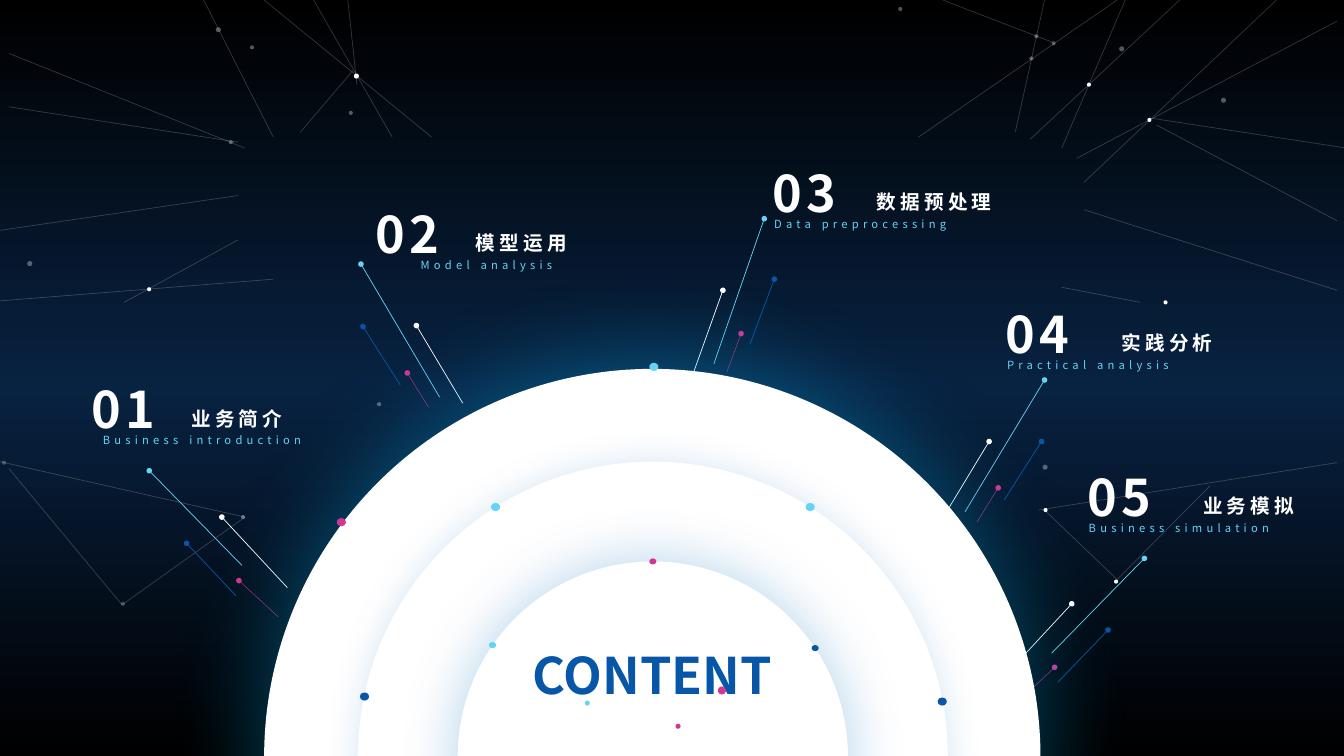
from lxml import etree
from pptx import Presentation
from pptx.dml.color import RGBColor
from pptx.enum import shapes, text
from pptx.oxml import ns
from pptx.util import Inches, Pt

FONT = "Noto Sans CJK SC"
COLORS = {"black": "000000", "navy": "082241", "white": "FFFFFF", "sky": "65D3F6",
          "blue": "0756A7", "pink": "D13694", "glow": "5DFFF9", "halo": "00B0F0", "shade": "0070C0"}

# Number, title, subtitle, label position, side, then the four strokes (dot end, free end)
TOPICS = [
    ("01", "业务简介", "Business introduction", (0.73, 3.7), "left",
     [(2.2, 5.13, 2.85, 5.83), (1.48, 4.67, 2.4, 5.61), (1.85, 5.39, 2.34, 5.91), (2.37, 5.76, 2.76, 6.12)]),
    ("02", "模型运用", "Model analysis", (3.55, 1.96), "left",
     [(4.13, 3.23, 4.59, 4), (3.58, 2.62, 4.36, 3.94), (3.6, 3.24, 3.97, 3.82), (4.04, 3.7, 4.25, 4.04)]),
    ("03", "数据预处理", "Data preprocessing", (7.49, 1.55), "right",
     [(7.17, 2.88, 6.87, 3.72), (7.58, 2.17, 7.08, 3.61), (7.68, 2.77, 7.44, 3.41), (7.35, 3.31, 7.21, 3.69)]),
    ("04", "实践分析", "Practical analysis", (9.8, 2.95), "right",
     [(9.81, 4.38, 9.35, 5.14), (10.36, 3.77, 9.57, 5.08), (10.33, 4.38, 9.96, 4.96), (9.9, 4.84, 9.69, 5.18)]),
    ("05", "业务模拟", "Business simulation", (10.61, 4.57), "right",
     [(10.63, 5.99, 9.98, 6.69), (11.35, 5.54, 10.43, 6.48), (10.99, 6.25, 10.49, 6.77), (10.46, 6.62, 10.07, 6.99)]),
]
STROKE_STYLES = [("white", 0.5), ("sky", 0.5), ("blue", 0.5), ("pink", 0.25)]
# Title width, subtitle indent, subtitle width, subtitle alignment
LABEL_STYLES = {"left": (1.7, 0.05, 2.45, text.PP_ALIGN.CENTER),
                "right": (2.01, 0.09, 2.66, text.PP_ALIGN.JUSTIFY)}

WEB_LINES = [
    (2.02, 0, 2.71, 1.36), (2.62, 0, 4.28, 1.36), (3.11, 0, 3.89, 1.36), (3.45, 0, 3.54, 0.84),
    (3.5, 0.7, 2.98, 1.31), (0.09, 0.53, 2.43, 1.47), (0.09, 1.06, 2.36, 1.41), (-0.1, 2.3, 2.36, 1.94),
    (-0.19, 3, 2.71, 2.77), (1.23, 3, 2.36, 2.38), (0, 4.58, 2.43, 5.13), (0.09, 4.65, 1.21, 6),
    (1.21, 6, 2.43, 5.13), (9.35, 0, 10.44, 0.42), (10.36, 0, 10.07, 1.31), (11.08, 0, 9.11, 1.36),
    (11.7, 0, 10.22, 1.38), (11.16, 0, 10.53, 1.47), (13.26, 0.21, 10.68, 1.57), (12.66, 0, 10.75, 1.81),
    (11.47, 1.24, 13.26, 2.19), (11.4, 1.17, 13.36, 1.47), (10.75, 2.08, 13.26, 2.88), (10.53, 2.85, 11.31, 3),
    (10.3, 5.06, 13.26, 4.59), (10.36, 5.06, 11.08, 5.75), (11.08, 5.75, 12, 4.82),
]
# Left, top, diameter, by opacity in percent
WEB_DOTS = {
    100: [(3.51, 0.73, 0.05), (1.46, 2.85, 0.04), (10.78, 0.82, 0.04), (11.38, 1.17, 0.04),
          (11.54, 2.98, 0.04), (11.05, 5.75, 0.04), (10.35, 5.04, 0.04)],
    33: [(3.46, 1.1, 0.04), (2.48, 0.45, 0.04), (2.14, 0.27, 0.05), (0.27, 2.59, 0.05), (2.27, 1.39, 0.04),
         (3.74, 3.99, 0.04), (11.1, 0.46, 0.05), (8.91, 0.07, 0.04), (10.26, 0.34, 0.04), (10.43, 0.41, 0.04),
         (10.21, 0.56, 0.04), (12.11, 0.97, 0.05), (10.34, 4.61, 0.05), (12.48, 4.93, 0.05)],
    36: [(2.39, 5.11, 0.04)],
    24: [(0.02, 4.57, 0.04), (1.2, 5.97, 0.04)],
}
WEB_LINE_OPACITY = 20

# Left, top, diameter, shadow (colour, opacity, blur, distance, direction)
DISCS = [(2.62, 3.66, 7.7, ("halo", 40, 71, 3, 270)),
         (3.55, 4.58, 5.85, ("shade", 17, 25, 0, 0)),
         (4.54, 5.57, 3.87, ("shade", 31, 42, 0, 0))]
# Left, top, width, height, colour
DISC_DOTS = [
    (4.85, 6.37, 0.07, 0.06, "sky"), (6.44, 5.54, 0.07, 0.06, "pink"), (8.05, 6.4, 0.07, 0.06, "blue"),
    (6.7, 7.18, 0.05, 0.05, "pink"), (5.8, 6.95, 0.05, 0.05, "sky"), (4.87, 4.99, 0.09, 0.08, "sky"),
    (3.57, 6.87, 0.09, 0.08, "blue"), (7.99, 4.99, 0.09, 0.08, "sky"), (9.3, 6.92, 0.09, 0.08, "blue"),
    (3.34, 5.14, 0.09, 0.08, "pink"), (6.44, 3.6, 0.09, 0.08, "sky"), (7.12, 6.81, 0.08, 0.08, "pink"),
]


def rgb(name):
    return RGBColor.from_string(COLORS[name])


def add_child(parent, tag, **attributes):
    child = etree.SubElement(parent, ns.qn(tag))
    for key, value in attributes.items():
        child.set(key, str(value))
    return child


def set_opacity(fill, percent):
    """Make a solid fill or line translucent."""
    if percent < 100:
        add_child(fill.find(".//" + ns.qn("a:srgbClr")), "a:alpha", val=percent * 1000)


def add_line(parent, ends, color, width, opacity=100, dot=False):
    line = parent.add_connector(shapes.MSO_CONNECTOR.STRAIGHT, *map(Inches, ends))
    line.line.color.rgb = rgb(color)
    line.line.width = Pt(width)
    properties = line._element.spPr
    outline = properties.find(ns.qn("a:ln"))
    set_opacity(outline, opacity)
    if dot:
        add_child(outline, "a:headEnd", type="oval", w="sm", len="sm")
    add_child(properties, "a:effectLst")


def add_ellipse(parent, box, color, opacity=100, shadow=None):
    ellipse = parent.add_shape(shapes.MSO_SHAPE.OVAL, *map(Inches, box))
    ellipse.fill.solid()
    ellipse.fill.fore_color.rgb = rgb(color)
    ellipse.line.fill.background()
    ellipse.shadow.inherit = False
    properties = ellipse._element.spPr
    set_opacity(properties.find(ns.qn("a:solidFill")), opacity)
    if shadow:
        tint, strength, blur, distance, direction = shadow
        outer = add_child(properties.find(ns.qn("a:effectLst")), "a:outerShdw", blurRad=Pt(blur),
                          dist=Pt(distance), dir=direction * 60000, algn="ctr", rotWithShape=0)
        tone = add_child(outer, "a:srgbClr", val=COLORS[tint])
        add_child(tone, "a:alpha", val=strength * 1000)


def add_text(parent, box, words, size, color, bold=True, spacing=3, align=text.PP_ALIGN.CENTER):
    frame = parent.add_textbox(*map(Inches, box)).text_frame
    frame.word_wrap = True
    frame.vertical_anchor = text.MSO_ANCHOR.MIDDLE
    paragraph = frame.paragraphs[0]
    paragraph.alignment = align
    run = paragraph.add_run()
    run.text = words
    run.font.size = Pt(size)
    run.font.bold = bold
    run.font.name = FONT
    run.font.color.rgb = rgb(color)
    properties = run._r.get_or_add_rPr()
    properties.set("spc", str(spacing * 100))
    add_child(properties, "a:ea", typeface=FONT)


def set_background(slide):
    fill = slide.background.fill
    fill.gradient()
    fill.gradient_angle = 270
    stops = fill._fill._gradFill.find(ns.qn("a:gsLst"))
    for stop in list(stops):
        stops.remove(stop)
    for position, name in [(0, "black"), (51, "navy"), (100, "black")]:
        stop = add_child(stops, "a:gs", pos=position * 1000)
        add_child(stop, "a:srgbClr", val=COLORS[name])


def add_web(slide):
    web = slide.shapes.add_group_shape().shapes
    for ends in WEB_LINES:
        add_line(web, ends, "white", 0.5, WEB_LINE_OPACITY)
    for opacity, dots in WEB_DOTS.items():
        for left, top, size in dots:
            add_ellipse(web, (left, top, size, size), "white", opacity, ("glow", 40, 23, 0, 0))


def add_topic(slide, number, title, subtitle, corner, side, strokes):
    rays = slide.shapes.add_group_shape().shapes
    for ends, (color, width) in zip(strokes, STROKE_STYLES):
        add_line(rays, ends, color, width, dot=True)
    left, top = corner
    title_width, indent, subtitle_width, align = LABEL_STYLES[side]
    label = slide.shapes.add_group_shape().shapes
    add_text(label, (left, top, 0.98, 0.71), number, 36, "white")
    add_text(label, (left + indent, top + 0.55, subtitle_width, 0.24), subtitle, 8, "sky", bold=False, align=align)
    add_text(label, (left + 0.77, top + 0.28, title_width, 0.34), title, 14, "white")


def main():
    presentation = Presentation()
    presentation.slide_width, presentation.slide_height = Inches(13.33), Inches(7.5)
    slide = presentation.slides.add_slide(presentation.slide_layouts[6])
    set_background(slide)
    add_web(slide)
    for topic in TOPICS:
        add_topic(slide, *topic)
    for left, top, size, shadow in DISCS:
        add_ellipse(slide.shapes, (left, top, size, size), "white", shadow=shadow)
    add_text(slide.shapes, (4.98, 6.33, 2.98, 0.71), "CONTENT", 36, "blue", spacing=0)
    for *box, color in DISC_DOTS:
        add_ellipse(slide.shapes, box, color)
    presentation.save("out.pptx")


if __name__ == "__main__":
    main()
